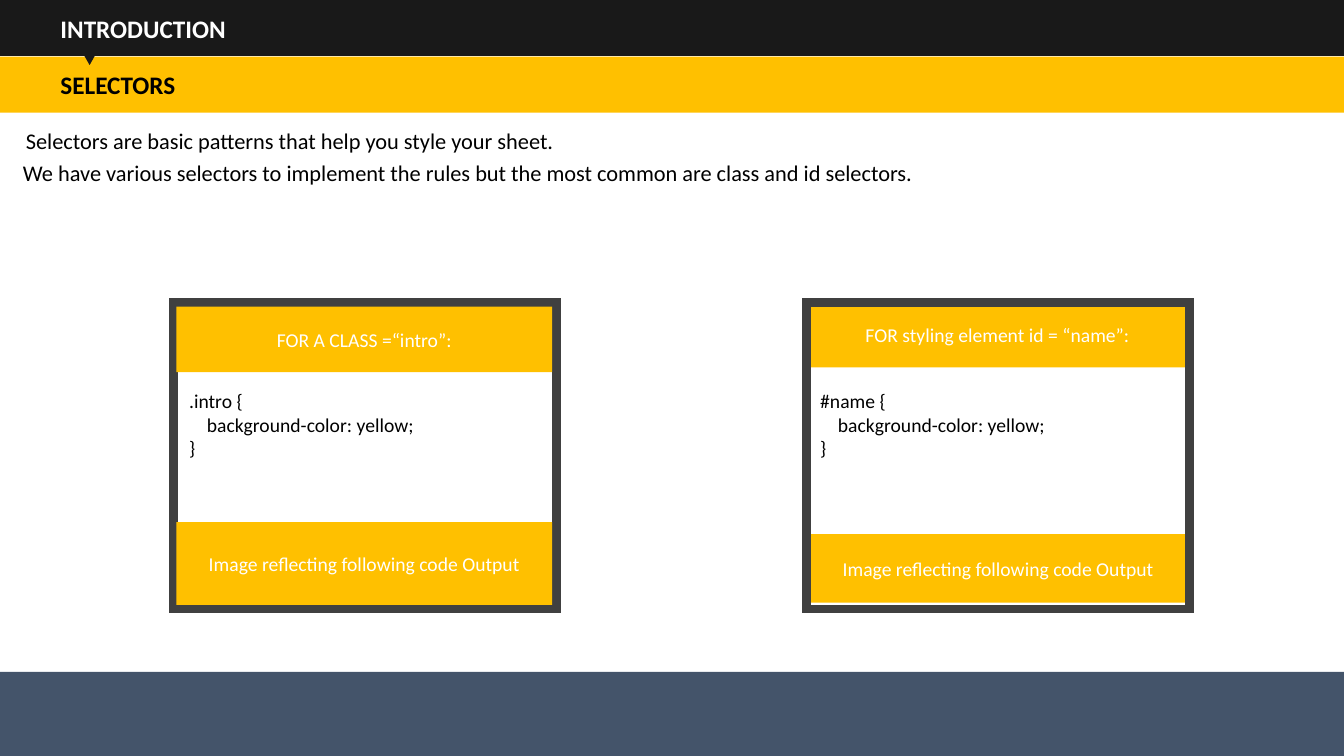
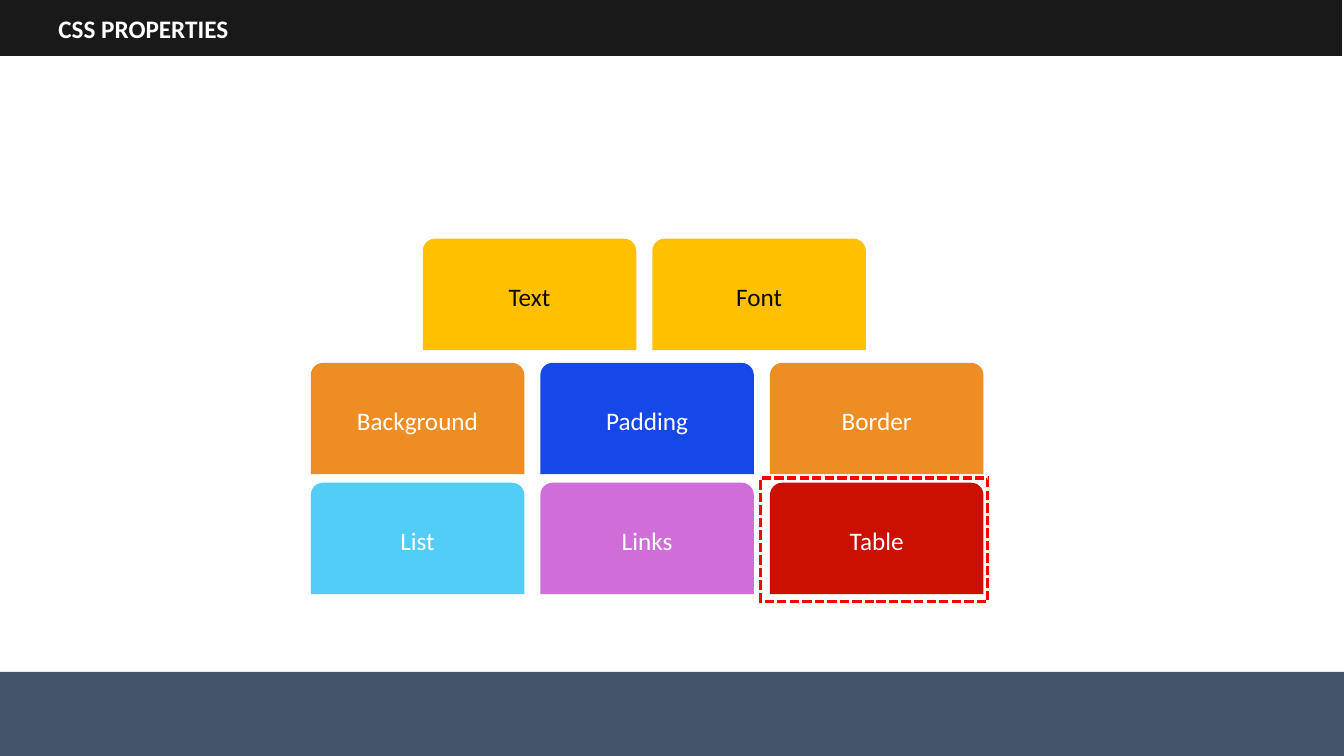
from dataclasses import dataclass

from lxml import etree
from pptx import Presentation
from pptx.dml.color import RGBColor
from pptx.enum import dml, shapes, text
from pptx.oxml.ns import qn
from pptx.util import Pt

SHAPE = shapes.MSO_SHAPE


@dataclass(frozen=True)
class Theme:
    font: str = "Calibri"
    title_size: int = 18
    body_size: int = 16
    card_size: int = 14
    white: str = "FFFFFF"
    black: str = "000000"
    ink: str = "0D0D0D"
    title_band: str = "191919"
    footer: str = "44546A"
    yellow: str = "FFC000"
    frame: str = "404040"
    orange: str = "ED8D23"
    blue: str = "1547E9"
    sky: str = "52CDF8"
    violet: str = "CF6DD9"
    red: str = "CB0F01"
    highlight: str = "FF0000"


THEME = Theme()
SLIDE_W, SLIDE_H = 960, 540
BAND_H = 40
TITLE_INDENT = 43.2
FOOTER_H = 60


class Deck:
    def __init__(self, theme):
        self.theme = theme
        self.prs = Presentation()
        self.prs.slide_width, self.prs.slide_height = Pt(SLIDE_W), Pt(SLIDE_H)
        self.slide = None

    def new_slide(self, title, left=0):
        self.slide = self.prs.slides.add_slide(self.prs.slide_layouts[6])
        self.block((0, SLIDE_H - FOOTER_H, SLIDE_W, FOOTER_H), self.theme.footer)
        self.band(title, 0, self.theme.title_band, self.theme.white, left)

    def set_lines(self, frame, lines, size, color, bold=False, align=text.PP_ALIGN.LEFT):
        """Fill a text frame with one paragraph, broken between lines."""
        frame.word_wrap = True
        paragraph = frame.paragraphs[0]
        paragraph.alignment = align
        for i, line in enumerate(lines):
            if i:
                paragraph.add_line_break()
            run = paragraph.add_run()
            run.text = line
            font = run.font
            font.name, font.size, font.bold = self.theme.font, Pt(size), bold
            font.color.rgb = RGBColor.from_string(color)

    def block(self, box, fill, kind=SHAPE.RECTANGLE, group=None):
        shape = (group or self.slide).shapes.add_shape(kind, *map(Pt, box))
        shape.shadow.inherit = False
        shape.fill.solid()
        shape.fill.fore_color.rgb = RGBColor.from_string(fill)
        shape.line.fill.background()
        return shape

    def outline(self, box, color, width, dash=None, group=None):
        shape = self.block(box, color, group=group)
        shape.fill.background()
        shape.line.color.rgb = RGBColor.from_string(color)
        shape.line.width = Pt(width)
        if dash:
            shape.line.dash_style = dash
        line_xml = shape._element.spPr.find(qn("a:ln"))
        etree.SubElement(line_xml, qn("a:miter"), lim="800000")

    def label(self, box, wording, fill, size, color, kind=SHAPE.RECTANGLE, group=None):
        shape = self.block(box, fill, kind, group)
        shape.text_frame.vertical_anchor = text.MSO_ANCHOR.MIDDLE
        self.set_lines(shape.text_frame, [wording], size, color,
                       align=text.PP_ALIGN.CENTER)
        return shape

    def band(self, title, top, fill, color, left=0):
        shape = self.block((left, top, SLIDE_W, BAND_H), fill)
        frame = shape.text_frame
        frame.margin_left = Pt(TITLE_INDENT)
        frame.vertical_anchor = text.MSO_ANCHOR.MIDDLE
        self.set_lines(frame, [title], self.theme.title_size, color, bold=True)

    def note(self, box, lines, size, group=None):
        frame = (group or self.slide).shapes.add_textbox(*map(Pt, box)).text_frame
        self.set_lines(frame, lines, size, self.theme.black)

    def card(self, left, heading, code, header, footer, code_left, frame_on_top):
        """Framed code sample; header and footer are boxes for its two bands."""
        t = self.theme
        group = self.slide.shapes.add_group_shape()

        def frame():
            self.outline((left, 216, 273.6, 219), t.frame, 6, group=group)

        if not frame_on_top:
            frame()
        self.note((code_left, 274.3, 246, 58), code, t.card_size, group)
        for box, wording in ((header, heading),
                             (footer, "Image reflecting following code Output")):
            self.label(box, wording, t.yellow, t.card_size, t.white, group=group)
        if frame_on_top:
            frame()

    def tile(self, left, top, wording, fill, color):
        shape = self.label((left, top, 152.5, 79.5), wording, fill,
                           self.theme.title_size, color, SHAPE.ROUND_2_SAME_RECTANGLE)
        shape.adjustments[0] = 0.11


def selectors_slide(deck):
    t = deck.theme
    deck.new_slide("INTRODUCTION")
    deck.band("SELECTORS", BAND_H + 0.5, t.yellow, t.black)
    deck.note((11.4, 87, 467, 33),
              ["Selectors are basic patterns that help you style your sheet."], t.body_size)
    deck.note((9.3, 110, 838, 27),
              ["We have various selectors to implement the rules but the most common "
               "are class and id selectors."], t.body_size)

    rule = ["    background-color: yellow;", "}"]
    deck.card(124, "FOR A CLASS =“intro”:", [".intro {", *rule],
              header=(126, 219, 268.5, 46.8), footer=(126, 373, 268.5, 59),
              code_left=128, frame_on_top=False)
    deck.card(576, "FOR styling element id = “name”:", ["#name {", *rule],
              header=(576, 216, 273, 46.5), footer=(576.5, 381.5, 273, 49),
              code_left=578.8, frame_on_top=True)

    pointer = deck.block((57.5, 35, 13, 11.5), t.title_band, SHAPE.ISOSCELES_TRIANGLE)
    pointer.rotation = 180


def properties_slide(deck):
    t = deck.theme
    deck.new_slide("CSS PROPERTIES", left=-1.5)
    deck.outline((543.5, 341.5, 162, 88.5), t.highlight, 2.25,
                 dml.MSO_LINE.SQUARE_DOT)
    pitch = 164
    rows = [
        (302, 170.5, t.ink, [("Text", t.yellow), ("Font", t.yellow)]),
        (222, 259.2, t.white, [("Background", t.orange), ("Padding", t.blue),
                               ("Border", t.orange)]),
        (222, 344.8, t.white, [("List", t.sky), ("Links", t.violet), ("Table", t.red)]),
    ]
    for left, top, color, properties in rows:
        for column, (name, fill) in enumerate(properties):
            deck.tile(left + column * pitch, top, name, fill, color)


def main():
    deck = Deck(THEME)
    selectors_slide(deck)
    properties_slide(deck)
    deck.prs.save("out.pptx")


if __name__ == "__main__":
    main()
